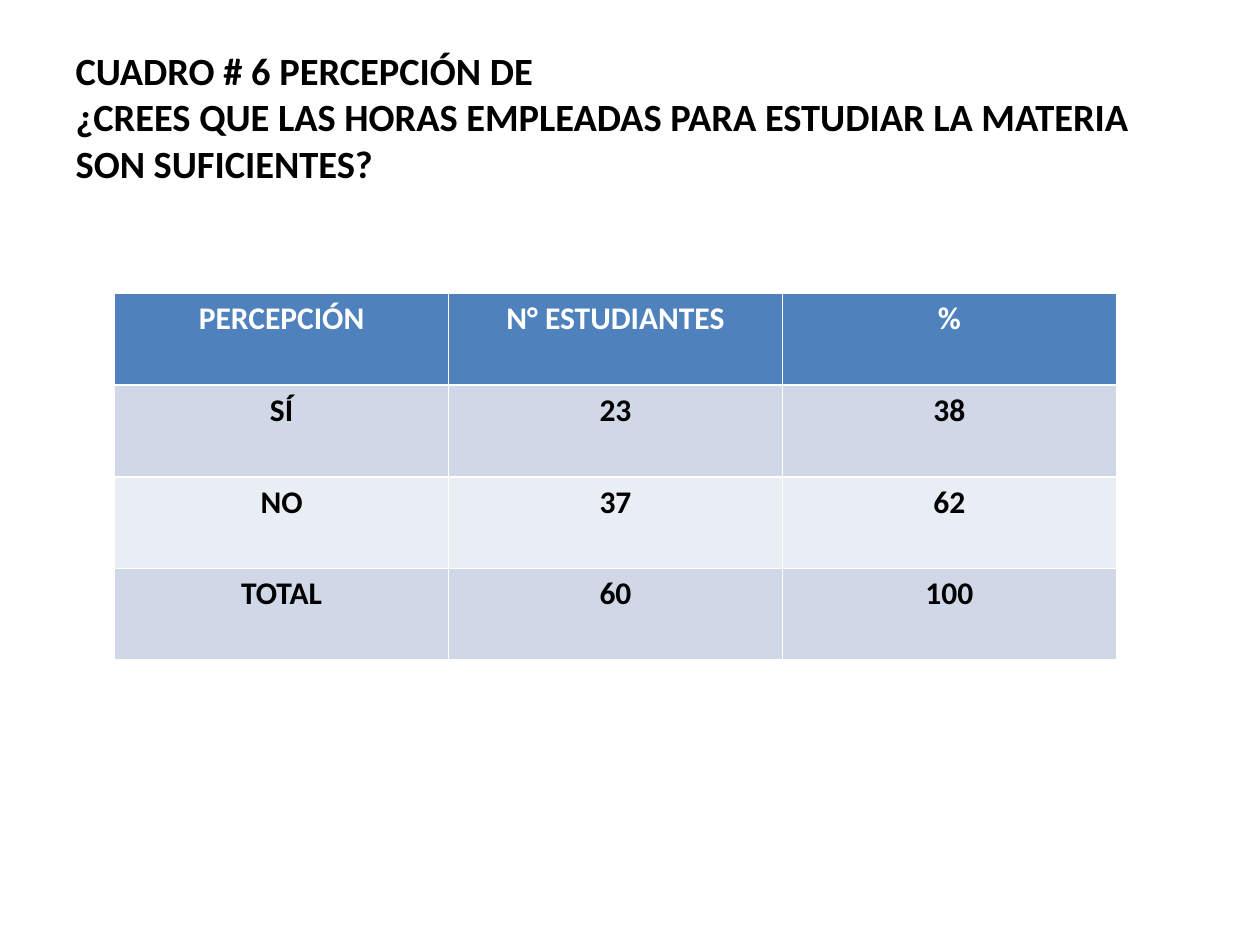
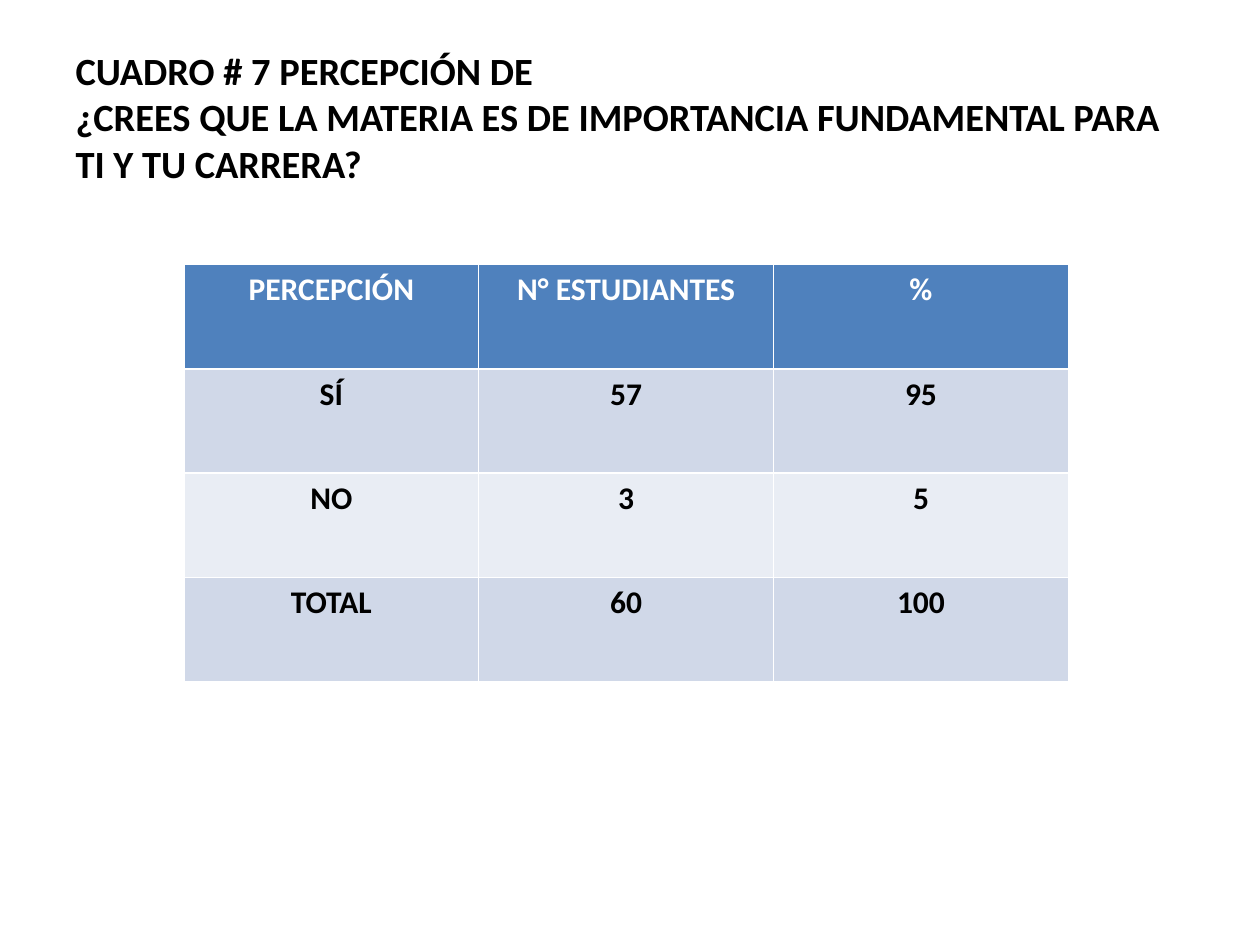
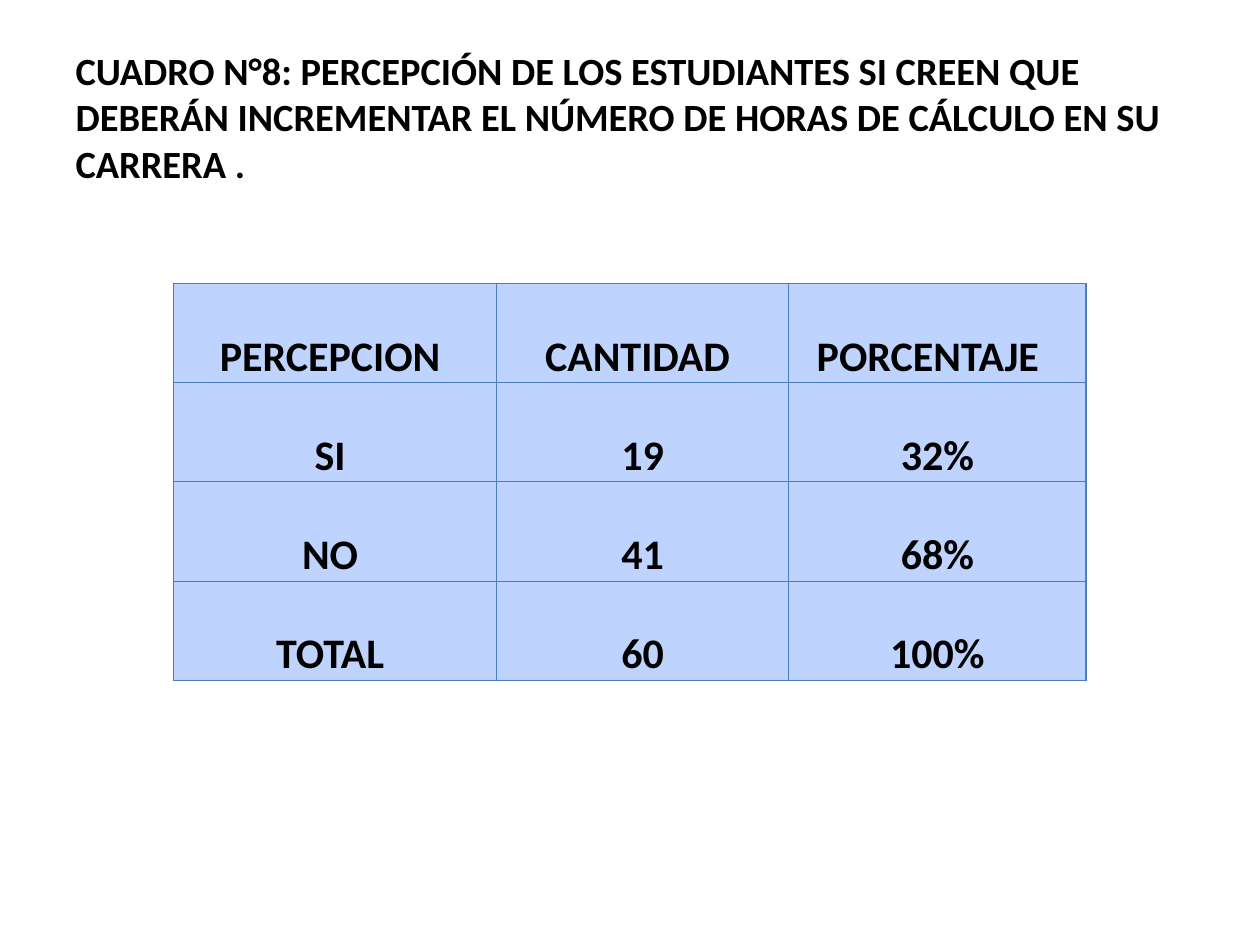
"""Build three survey slides, each with a title and a table of answers."""
from lxml import etree
from pptx import Presentation
from pptx.dml.color import RGBColor
from pptx.enum.text import MSO_ANCHOR, PP_ALIGN
from pptx.oxml.ns import qn
from pptx.util import Inches, Pt

LEFT, CENTER = PP_ALIGN.LEFT, PP_ALIGN.CENTER
TOP, MIDDLE, BOTTOM = MSO_ANCHOR.TOP, MSO_ANCHOR.MIDDLE, MSO_ANCHOR.BOTTOM

BLACK = RGBColor(0x00, 0x00, 0x00)
WHITE = RGBColor(0xFF, 0xFF, 0xFF)
BLUE = RGBColor(0x4F, 0x81, 0xBD)
BAND_DARK = RGBColor(0xD0, 0xD8, 0xE8)
BAND_LIGHT = RGBColor(0xE9, 0xED, 0xF4)
SKY = RGBColor(0xBF, 0xD3, 0xFF)
LINE_BLUE = RGBColor(0x4B, 0x7E, 0xBC)
FONT = "Calibri"

BANDED = {
    "fills": (BLUE, BAND_DARK, BAND_LIGHT, BAND_DARK),
    "header_color": WHITE, "size": 18, "anchor": TOP,
    "border": (WHITE, 1), "margins": (0.1, 0.05),
    "header_right": (0.1, 0.1, 0.1), "body_right": (0.1, 0.1, 0.1),
}
GRID = {
    "fills": (SKY,) * 4,
    "header_color": BLACK, "size": 24, "anchor": BOTTOM,
    "border": (LINE_BLUE, 0.75), "margins": (0, 0),
    "header_right": (0.08, 0.08, 0.15), "body_right": (0.08, 0, 0),
}
HEADER = ("PERCEPCIÓN", "N° ESTUDIANTES", "%")

SLIDES = [
    {
        "title": "CUADRO # 6 PERCEPCIÓN DE\n¿CREES QUE LAS HORAS EMPLEADAS "
                 "PARA ESTUDIAR LA MATERIA SON SUFICIENTES?",
        "rows": [HEADER, ("SÍ", "23", "38"), ("NO", "37", "62"),
                 ("TOTAL", "60", "100")],
        "at": (0.91, 2.33), "widths": (2.65, 2.65, 2.65), "height": 2.91,
        "style": BANDED,
    },
    {
        "title": "CUADRO # 7 PERCEPCIÓN DE\n¿CREES QUE LA MATERIA ES DE "
                 "IMPORTANCIA FUNDAMENTAL PARA TI Y TU CARRERA?",
        "rows": [HEADER, ("SÍ", "57", "95"), ("NO", "3", "5"),
                 ("TOTAL", "60", "100")],
        "at": (1.46, 2.1), "widths": (2.34, 2.34, 2.34), "height": 3.31,
        "style": BANDED,
    },
    {
        "title": "CUADRO N°8: PERCEPCIÓN DE LOS ESTUDIANTES SI CREEN QUE "
                 "DEBERÁN INCREMENTAR EL NÚMERO DE HORAS DE CÁLCULO EN SU "
                 "CARRERA .",
        "rows": [("PERCEPCION", "CANTIDAD", "PORCENTAJE"), ("SI", "19", "32%"),
                 ("NO", "41", "68%"), ("TOTAL", "60", "100%")],
        "at": (1.38, 2.25), "widths": (2.56, 2.32, 2.36), "height": 3.15,
        "style": GRID,
    },
]


def set_text(tf, text, size, color, align):
    p = tf.paragraphs[0]
    p.text = text
    p.alignment = align
    p.font.name = FONT
    p.font.size = Pt(size)
    p.font.bold = True
    p.font.color.rgb = color


def set_borders(cell, color, width):
    tcPr = cell._tc.get_or_add_tcPr()
    for side in ("a:lnL", "a:lnR", "a:lnT", "a:lnB"):
        ln = etree.SubElement(tcPr, qn(side), w=str(Pt(width)))
        fill = etree.SubElement(ln, qn("a:solidFill"))
        etree.SubElement(fill, qn("a:srgbClr"), val=str(color))


def add_title(slide, text):
    title = slide.shapes.title
    title.left, title.top = Inches(0.5), Inches(0.3)
    title.width, title.height = Inches(9), Inches(1.25)
    title.text_frame.vertical_anchor = MIDDLE
    set_text(title.text_frame, text, 22, BLACK, LEFT)


def add_answers(slide, rows, at, widths, height, style):
    left, top = at
    table = slide.shapes.add_table(
        len(rows), len(widths), Inches(left), Inches(top),
        Inches(sum(widths)), Inches(height)).table
    for column, width in zip(table.columns, widths):
        column.width = Inches(width)
    side, edge = style["margins"]
    for i, row in enumerate(rows):
        table.rows[i].height = Inches(height / len(rows))
        color = BLACK if i else style["header_color"]
        rights = style["body_right" if i else "header_right"]
        for j, text in enumerate(row):
            cell = table.cell(i, j)
            set_borders(cell, *style["border"])
            cell.fill.solid()
            cell.fill.fore_color.rgb = style["fills"][i]
            cell.vertical_anchor = style["anchor"]
            cell.margin_left, cell.margin_right = Inches(side), Inches(rights[j])
            cell.margin_top = cell.margin_bottom = Inches(edge)
            set_text(cell.text_frame, text, style["size"], color, CENTER)


def main():
    prs = Presentation()
    prs.slide_width, prs.slide_height = Inches(10), Inches(7.5)
    title_only = prs.slide_layouts[5]
    for content in SLIDES:
        slide = prs.slides.add_slide(title_only)
        add_title(slide, content["title"])
        add_answers(slide, content["rows"], content["at"], content["widths"],
                    content["height"], content["style"])
    prs.save("out.pptx")


if __name__ == "__main__":
    main()
